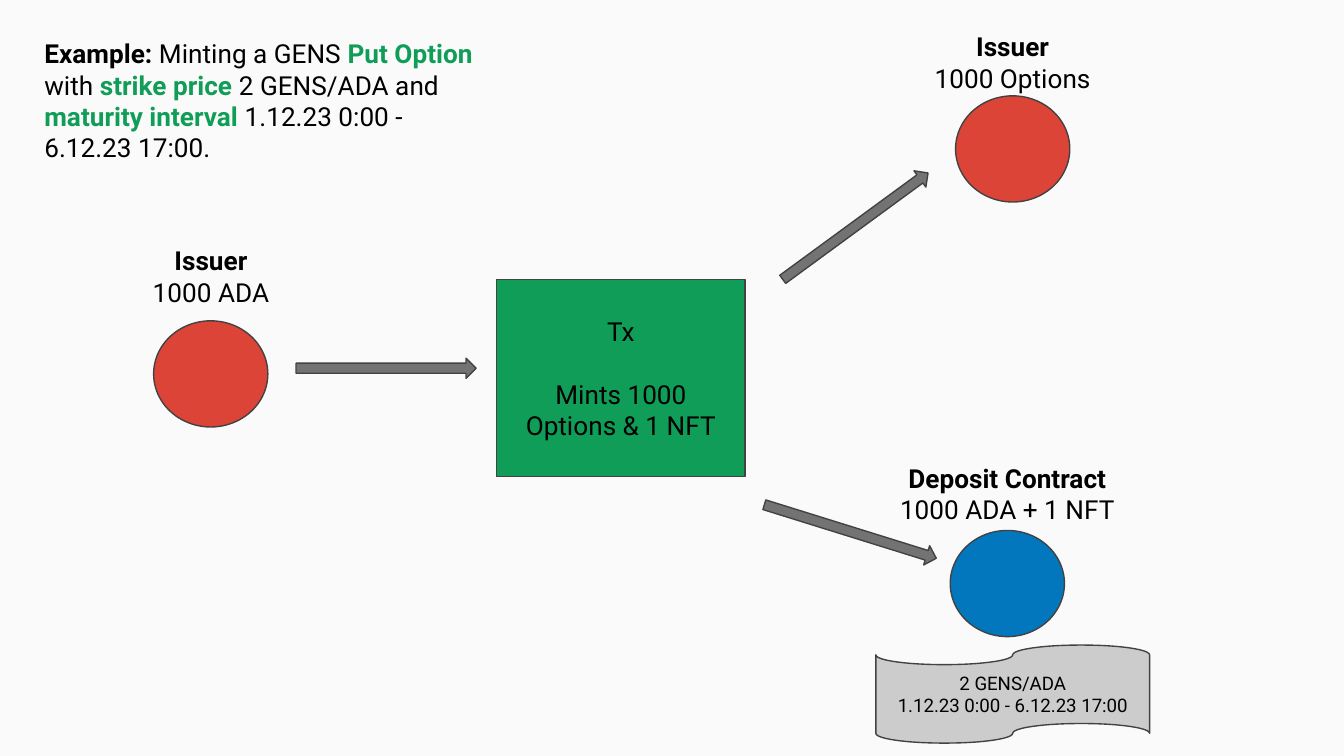
from copy import deepcopy
from dataclasses import dataclass

from pptx import Presentation
from pptx import util as u
from pptx.dml.color import RGBColor
from pptx.enum import shapes, text

COLUMNS, ROWS = 100, 56.25
WIDTH = u.Inches(10)
HEIGHT = WIDTH * 9 // 16


@dataclass(frozen=True)
class Theme:
    """Colours, font and type sizes of the slide."""
    font: str = "Roboto"
    body: float = 14
    small: float = 10
    outline: float = 0.75
    background: str = "FAFAFA"
    ink: str = "000000"
    edge: str = "424242"
    transaction: str = "0F9D58"
    issuer: str = "DB4437"
    contract: str = "0277BD"
    arrow: str = "737373"
    tape: str = "CCCCCC"


THEME = Theme()


def grid(left, top, width, height):
    """Convert grid columns and rows to slide lengths."""
    return (int(WIDTH * left / COLUMNS), int(HEIGHT * top / ROWS),
            int(WIDTH * width / COLUMNS), int(HEIGHT * height / ROWS))


def assign(target, values):
    """Set each named attribute on the target."""
    for name, value in values.items():
        setattr(target, name, value)


def paint(fill, color):
    """Apply a solid colour."""
    fill.solid()
    fill.fore_color.rgb = RGBColor.from_string(color)


def add_run(paragraph, words, size, bold, color):
    """Add formatted words, with a line break of the same size after a newline."""
    run = paragraph.add_run()
    run.text = words.rstrip("\n")
    assign(run.font, {"name": THEME.font, "size": u.Pt(size), "bold": bold})
    run.font.color.rgb = RGBColor.from_string(color)
    if words.endswith("\n"):
        paragraph.add_line_break()
        paragraph._p[-1].append(deepcopy(run._r.rPr))


def write(shape, paragraphs, size=THEME.body, align=text.PP_ALIGN.CENTER,
          anchor=text.MSO_ANCHOR.TOP, gap=0):
    """Fill a shape with paragraphs of (words, bold, colour) runs."""
    frame = shape.text_frame
    inset = u.Inches(0.1)
    assign(frame, {"word_wrap": True, "auto_size": text.MSO_AUTO_SIZE.NONE,
                   "vertical_anchor": anchor,
                   "margin_left": inset, "margin_right": inset,
                   "margin_top": inset, "margin_bottom": inset})
    for index, runs in enumerate(paragraphs):
        paragraph = frame.add_paragraph() if index else frame.paragraphs[0]
        assign(paragraph, {"alignment": align,
                           "space_before": u.Pt(gap if index else 0)})
        for words, bold, color in runs:
            add_run(paragraph, words, size, bold, color)


def plain(words, bold=False):
    """Return a run in the ink colour."""
    return words, bold, THEME.ink


def strong(words):
    """Return a bold run in the transaction colour."""
    return words, True, THEME.transaction


def add_shape(slide, kind, box, color, rotation=0):
    """Draw an outlined preset shape."""
    shape = slide.shapes.add_shape(kind, *grid(*box))
    shape.shadow.inherit = False
    shape.rotation = rotation
    paint(shape.fill, color)
    paint(shape.line.fill, THEME.edge)
    shape.line.width = u.Pt(THEME.outline)
    return shape


def add_arrow(slide, left, top, rotation=0):
    """Draw a block arrow of the common size."""
    add_shape(slide, shapes.MSO_SHAPE.RIGHT_ARROW, (left, top, 13.4, 1.5),
              THEME.arrow, rotation)


def add_party(slide, name, holding, label_box, left, top, color):
    """Draw a party's circle with its name and holding above."""
    add_shape(slide, shapes.MSO_SHAPE.OVAL, (left, top, 8.5, 7.9), color)
    label = slide.shapes.add_textbox(*grid(*label_box))
    write(label, [[plain(name + "\n", True), plain(holding)]])


def add_example(slide):
    """Place the example statement in the title placeholder."""
    title = slide.shapes.title
    assign(title, dict(zip(("left", "top", "width", "height"),
                           grid(2.3, 1.8, 34.6, 11.9))))
    statement = [plain("Example:", True), plain(" Minting a GENS "),
                 strong("Put Option"), plain(" with "),
                 strong("strike price"), plain(" 2 GENS/ADA and "),
                 strong("maturity interval"),
                 plain(" 1.12.23 0:00 - 6.12.23 17:00.")]
    write(title, [statement], align=text.PP_ALIGN.LEFT)


def main():
    """Build the slide and save it."""
    presentation = Presentation()
    assign(presentation, {"slide_width": WIDTH, "slide_height": HEIGHT})
    slide = presentation.slides.add_slide(presentation.slide_layouts[5])
    paint(slide.background.fill, THEME.background)
    add_example(slide)

    transaction = add_shape(slide, shapes.MSO_SHAPE.RECTANGLE,
                            (36.95, 20.8, 18.5, 14.65), THEME.transaction)
    write(transaction, [[plain("Tx")], [plain("Mints 1000 Options & 1 NFT")]],
          anchor=text.MSO_ANCHOR.MIDDLE, gap=1.2 * THEME.body)

    parties = [
        ("Issuer", "1000 ADA", (10.05, 17.2, 11.3, 3.6), 11.43, 23.87, THEME.issuer),
        ("Issuer", "1000 Options", (68.35, 1.3, 14, 3.6), 71.1, 7.13, THEME.issuer),
        ("Deposit Contract", "1000 ADA + 1 NFT", (65.7, 33.37, 18.5, 6.1),
         70.7, 39.47, THEME.contract),
    ]
    for party in parties:
        add_party(slide, *party)

    for arrow in [(22.03, 26.65), (56.95, 16.08, 323.8), (56.57, 38.8, 17.3)]:
        add_arrow(slide, *arrow)

    terms = add_shape(slide, shapes.MSO_SHAPE.FLOWCHART_PUNCHED_TAPE,
                      (65.17, 48, 20.37, 7.3), THEME.tape)
    write(terms, [[plain("2 GENS/ADA\n"), plain("1.12.23 0:00 - 6.12.23 17:00")]],
          size=THEME.small, anchor=text.MSO_ANCHOR.MIDDLE)

    presentation.save("out.pptx")


if __name__ == "__main__":
    main()
